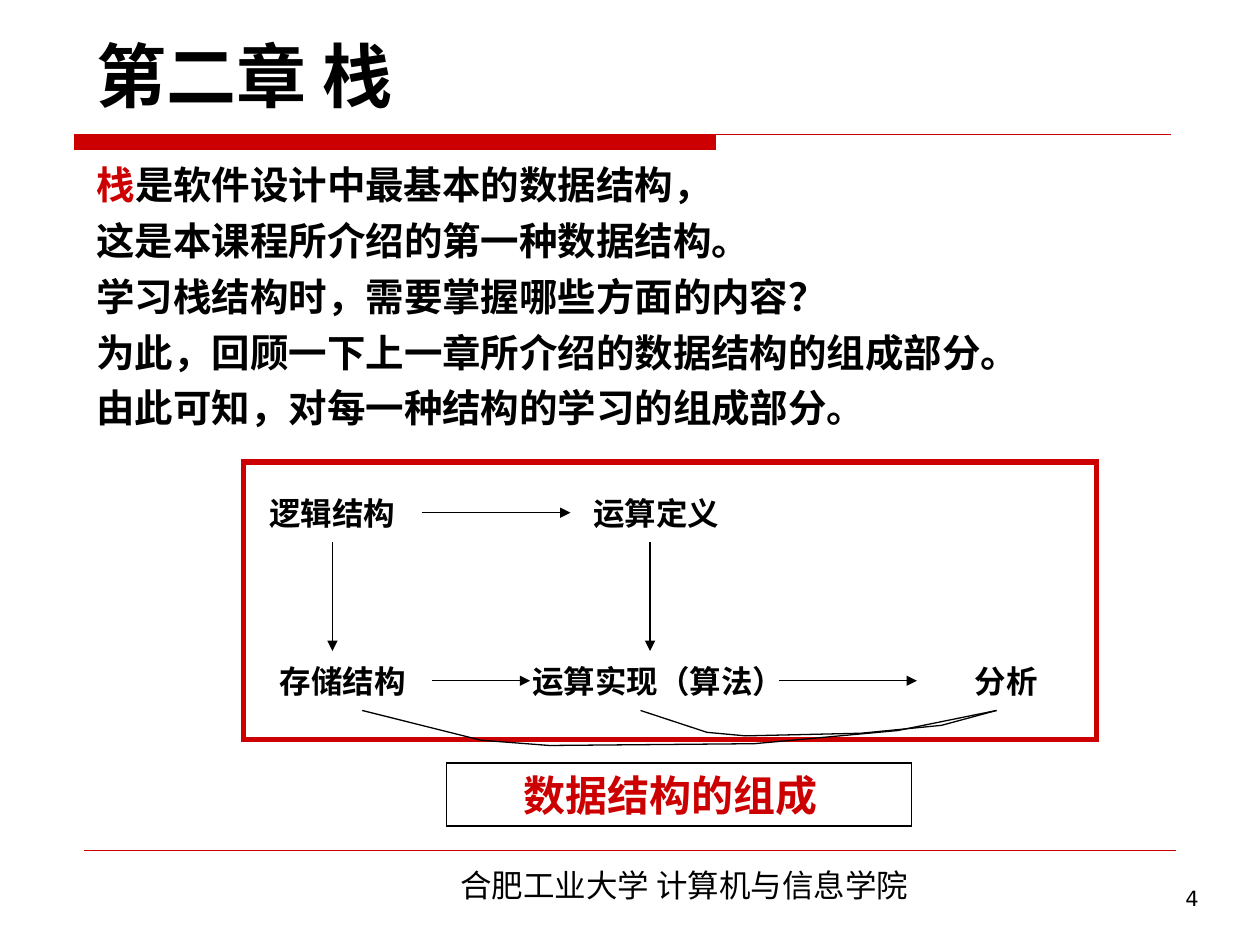
from pptx import Presentation
from pptx.dml.color import RGBColor
from pptx.enum.lang import MSO_LANGUAGE_ID as Lang
from pptx.enum.shapes import MSO_CONNECTOR as Connector, MSO_SHAPE as Shape
from pptx.enum.text import MSO_ANCHOR as Anchor, MSO_AUTO_SIZE as AutoSize, PP_ALIGN as Align
from pptx.oxml.ns import qn
from pptx.util import Pt
from lxml.etree import SubElement

RED = "CC0000"
BLACK = "000000"


def color(hex_string):
    return RGBColor.from_string(hex_string)


class Deck:
    def __init__(self, width, height):
        self.presentation = Presentation()
        self.presentation.slide_width = Pt(width)
        self.presentation.slide_height = Pt(height)
        self.slide = None

    def add_slide(self):
        self.slide = self.presentation.slides.add_slide(self.presentation.slide_layouts[1])

    def place(self, shape, left, top, width, height):
        shape.left, shape.top = Pt(left), Pt(top)
        shape.width, shape.height = Pt(width), Pt(height)

    def style(self, paragraph, size, font, fill=BLACK, bold=True):
        for run in paragraph.runs:
            run.font.size = Pt(size)
            run.font.name = font
            run.font.bold = bold
            run.font.color.rgb = color(fill)
            run.font.language_id = Lang.SIMPLIFIED_CHINESE

    def title(self, text, *box):
        heading = self.slide.shapes.title
        self.place(heading, *box)
        frame = heading.text_frame
        frame.text = text
        frame.auto_size = AutoSize.NONE
        frame.vertical_anchor = Anchor.BOTTOM
        frame.paragraphs[0].alignment = Align.LEFT
        self.style(frame.paragraphs[0], 40, "DejaVu Sans")

    def body(self, lines, keyword, *box):
        content = self.slide.placeholders[1]
        self.place(content, *box)
        frame = content.text_frame
        frame.auto_size = AutoSize.NONE
        for index, line in enumerate(lines):
            paragraph = frame.add_paragraph() if index else frame.paragraphs[0]
            properties = paragraph._p.get_or_add_pPr()
            properties.set("marL", "0")
            properties.set("indent", "0")
            SubElement(properties, qn("a:buNone"))
            paragraph.space_before = Pt(5.5 if index else 0)
            if line.startswith(keyword):
                paragraph.add_run().text = keyword
                line = line.removeprefix(keyword)
            paragraph.add_run().text = line
            self.style(paragraph, 22, "Times New Roman")
            if len(paragraph.runs) > 1:
                paragraph.runs[0].font.color.rgb = color(RED)

    def text(self, text, left, top, width, height, size, font, bold=False,
             align=Align.CENTER, anchor=Anchor.TOP, wrap=True):
        box = self.slide.shapes.add_textbox(Pt(left), Pt(top), Pt(width), Pt(height))
        frame = box.text_frame
        frame.text = text
        frame.word_wrap = wrap
        frame.vertical_anchor = anchor
        frame.paragraphs[0].alignment = align
        self.style(frame.paragraphs[0], size, font, bold=bold)

    def label(self, text, center_x, center_y, width=102, height=34):
        self.text(text, center_x - width / 2, center_y - height / 2, width, height,
                  18, "Arial", bold=True, anchor=Anchor.MIDDLE, wrap=False)

    def outline(self, shape, stroke, weight, fill=None):
        shape.shadow.inherit = False
        if fill:
            shape.fill.solid()
            shape.fill.fore_color.rgb = color(fill)
        else:
            shape.fill.background()
        shape.line.color.rgb = color(stroke)
        shape.line.width = Pt(weight)

    def rectangle(self, left, top, width, height, stroke, weight, fill=None):
        shape = self.slide.shapes.add_shape(
            Shape.RECTANGLE, Pt(left), Pt(top), Pt(width), Pt(height))
        self.outline(shape, stroke, weight, fill)
        SubElement(shape.line._get_or_add_ln(), qn("a:miter"), lim="800000")
        return shape

    def caption(self, text, *box):
        frame = self.rectangle(*box, BLACK, 0.75).text_frame
        frame.text = text
        frame.margin_left = Pt(44)
        frame.vertical_anchor = Anchor.MIDDLE
        frame.paragraphs[0].alignment = Align.LEFT
        self.style(frame.paragraphs[0], 24, "Times New Roman", RED)

    def line(self, start, end, stroke=BLACK, weight=0.75, arrow=False):
        connector = self.slide.shapes.add_connector(
            Connector.STRAIGHT, *(Pt(value) for value in (*start, *end)))
        connector.line.color.rgb = color(stroke)
        connector.line.width = Pt(weight)
        if arrow:
            SubElement(connector.line._get_or_add_ln(), qn("a:tailEnd"), type="triangle")
        SubElement(connector._element.spPr, qn("a:effectLst"))

    def curve(self, points):
        start, *rest = [(Pt(x), Pt(y)) for x, y in points]
        builder = self.slide.shapes.build_freeform(*start)
        builder.add_line_segments(rest, close=False)
        self.outline(builder.convert_to_shape(), BLACK, 0.75)

    def save(self):
        self.presentation.save("out.pptx")


def main():
    deck = Deck(720, 540)
    deck.add_slide()

    deck.rectangle(42.5, 77, 366.5, 8.6, RED, 0.25, RED)
    deck.line((42.5, 77), (669, 77), RED)
    deck.line((48, 486), (672, 486), RED, 0.25)
    deck.text("合肥工业大学 计算机与信息学院", 173, 491.3, 436, 29, 18, "Noto Sans CJK SC")
    deck.text("4", 536, 502.5, 156, 37.5, 12, "DejaVu Sans", align=Align.RIGHT)

    deck.title("第二章 栈", 48, -26, 630, 96)
    deck.body([
        "栈是软件设计中最基本的数据结构，",
        "这是本课程所介绍的第一种数据结构。",
        "学习栈结构时，需要掌握哪些方面的内容？",
        "为此，回顾一下上一章所介绍的数据结构的组成部分。",
        "由此可知，对每一种结构的学习的组成部分。",
    ], "栈", 48, 88.5, 629, 397)

    upper, lower = 293, 389
    deck.label("逻辑结构", 190, upper)
    deck.label("运算定义", 375, upper)
    deck.label("存储结构", 196, lower)
    deck.label("运算实现（算法）", 376, lower, width=170)
    deck.label("分析", 575, lower)

    for start_x, end_x, row in ((241, 326, upper), (247, 303, lower), (445, 524, lower)):
        deck.line((start_x, row), (end_x, row), arrow=True)
    for column in (190, 371.5):
        deck.line((column, upper + 17), (column, lower - 17), arrow=True)

    deck.rectangle(139, 264, 487.5, 158.5, RED, 3)
    deck.curve([(569.5, 406), (538, 414.5), (492, 419), (426, 420.5), (404, 418.5), (366, 406)])
    deck.curve([(569.5, 406), (513, 417.5), (431, 425), (314, 426), (275, 423), (207, 406)])
    deck.caption("数据结构的组成", 255, 436, 266, 36)

    deck.save()


if __name__ == "__main__":
    main()
